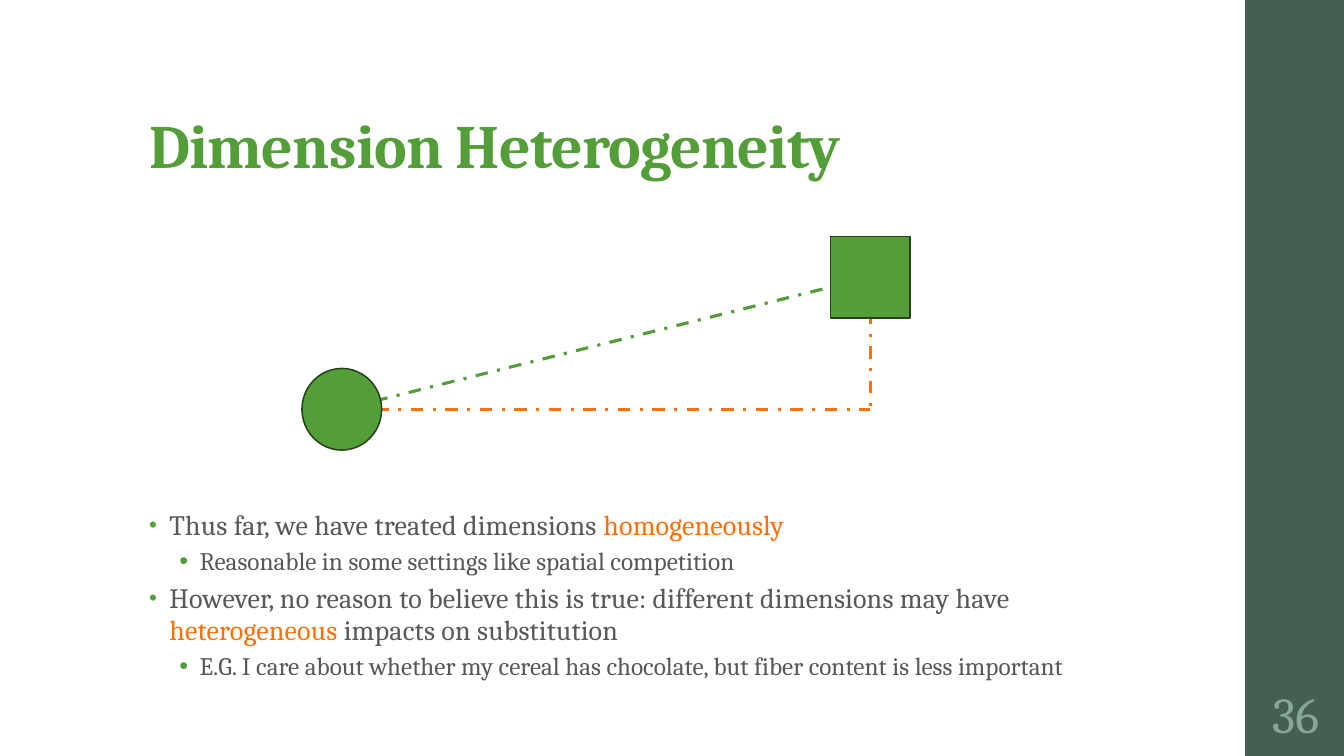
from dataclasses import dataclass

from lxml import etree
from pptx import Presentation
from pptx.dml.color import RGBColor
from pptx.enum.dml import MSO_LINE
from pptx.enum.shapes import MSO_CONNECTOR, MSO_SHAPE
from pptx.enum.text import MSO_ANCHOR, MSO_AUTO_SIZE, PP_ALIGN
from pptx.oxml.ns import qn
from pptx.util import Inches, Pt

RECT, OVAL, STRAIGHT = MSO_SHAPE.RECTANGLE, MSO_SHAPE.OVAL, MSO_CONNECTOR.STRAIGHT
DASH_DOT = MSO_LINE.DASH_DOT
TOP, MIDDLE, BOTTOM = MSO_ANCHOR.TOP, MSO_ANCHOR.MIDDLE, MSO_ANCHOR.BOTTOM
LEFT, CENTER = PP_ALIGN.LEFT, PP_ALIGN.CENTER
NO_AUTOFIT = MSO_AUTO_SIZE.NONE
TWO_CONTENT = 3


@dataclass(frozen=True)
class Theme:
    font: str = "Cambria"
    green: str = "549E39"
    outline: str = "254519"
    orange: str = "FF7009"
    grey: str = "595959"
    band: str = "455F51"
    number: str = "87A896"
    title_size: int = 44
    number_size: int = 36
    level_sizes: tuple = (20, 18)


def rgb(color):
    return RGBColor.from_string(color)


def add_text(p, text, *, font, size, color, bold=False, spacing=0):
    """Add a run to a paragraph; spacing is in points."""
    r = p.add_run()
    r.text = text
    r.font.name, r.font.size, r.font.bold = font, Pt(size), bold
    r.font.color.rgb = rgb(color)
    r.font._element.set("spc", str(round(spacing * 100)))


def add_bullet(p, level, color):
    pPr = p._p.get_or_add_pPr()
    pPr.set("marL", str(Inches((0.2, 0.5)[level])))
    pPr.set("indent", str(Inches(-0.2)))
    bu_color = etree.SubElement(pPr, qn("a:buClr"))
    etree.SubElement(bu_color, qn("a:srgbClr"), val=color)
    etree.SubElement(pPr, qn("a:buSzPct"), val=("80000", "100000")[level])
    etree.SubElement(pPr, qn("a:buFont"), typeface="Arial")
    etree.SubElement(pPr, qn("a:buChar"), char="•")


class SlideBuilder:
    def __init__(self, slide, theme):
        self.slide, self.theme = slide, theme

    def frame(self, sp, box, anchor, insets=(0.1, 0.05, 0.1, 0.05)):
        """Place a text shape and return its prepared text frame."""
        sp.left, sp.top, sp.width, sp.height = map(Inches, box)
        tf = sp.text_frame
        tf.word_wrap, tf.auto_size, tf.vertical_anchor = True, NO_AUTOFIT, anchor
        (tf.margin_left, tf.margin_top,
         tf.margin_right, tf.margin_bottom) = map(Inches, insets)
        return tf

    def title(self, text, box):
        t = self.theme
        tf = self.frame(self.slide.shapes.title, box, BOTTOM, (0.1, 0.03, 0.1, 0.05))
        p = tf.paragraphs[0]
        p.alignment, p.line_spacing = LEFT, 0.9
        add_text(p, text, font=t.font, size=t.title_size, color=t.green,
                 bold=True, spacing=-0.5)

    def bullets(self, idx, box, items):
        """Fill a body placeholder with (level, [(text, color), ...]) items."""
        t = self.theme
        tf = self.frame(self.slide.placeholders[idx], box, TOP)
        for i, (level, runs) in enumerate(items):
            p = tf.add_paragraph() if i else tf.paragraphs[0]
            p.level, p.alignment = level, LEFT
            add_bullet(p, level, t.green)
            p.line_spacing = (0.95, 0.9)[level]
            p.space_before = Pt(3 if i else 0)
            p.space_after = Pt((2, 3)[level])
            for text, color in runs:
                add_text(p, text, font=t.font, size=t.level_sizes[level],
                         color=color, spacing=(0.1, 0)[level])

    def shape(self, kind, box, fill, line=None):
        sp = self.slide.shapes.add_shape(kind, *map(Inches, box))
        sp.shadow.inherit = False
        sp.fill.solid()
        sp.fill.fore_color.rgb = rgb(fill)
        if line:
            sp.line.color.rgb = rgb(line)
            sp.line.width = Pt(1.1)
        else:
            sp.line.fill.background()

    def dashed_line(self, start, end, color):
        line = self.slide.shapes.add_connector(STRAIGHT, *map(Inches, start + end))
        line.line.color.rgb = rgb(color)
        line.line.width, line.line.dash_style = Pt(2.25), DASH_DOT
        etree.SubElement(line._element.spPr, qn("a:effectLst"))

    def page_number(self, text, box):
        t = self.theme
        sp = self.slide.shapes.add_textbox(*map(Inches, box))
        p = self.frame(sp, box, MIDDLE, (0.05,) * 4).paragraphs[0]
        p.alignment = CENTER
        add_text(p, text, font=t.font, size=t.number_size, color=t.number)


def main():
    prs = Presentation()
    prs.slide_width, prs.slide_height = Inches(13.33), Inches(7.5)
    t = Theme()
    s = SlideBuilder(prs.slides.add_slide(prs.slide_layouts[TWO_CONTENT]), t)

    s.shape(RECT, (12.35, 0, 1, 7.5), t.band)
    s.title("Dimension Heterogeneity", (1.38, 0.29, 10.6, 1.56))

    circle, square = (3.39, 4.06), (8.63, 2.75)
    corner = (square[0], circle[1])
    s.dashed_line(circle, square, t.green)
    s.dashed_line(square, corner, t.orange)
    s.dashed_line(circle, corner, t.orange)
    width, height = 0.79, 0.81
    for kind, (x, y) in ((OVAL, circle), (RECT, square)):
        s.shape(kind, (x - width / 2, y - height / 2, width, height),
                t.green, t.outline)

    s.bullets(1, (1.38, 5.01, 9.4, 1.48), [
        (0, [("Thus far, we have treated dimensions ", t.grey),
             ("homogeneously", t.orange)]),
        (1, [("Reasonable in some settings like spatial competition", t.grey)]),
    ])
    s.bullets(2, (1.38, 5.73, 9.4, 1.54), [
        (0, [("However, no reason to believe this is true: "
              "different dimensions may have ", t.grey),
             ("heterogeneous", t.orange),
             (" impacts on substitution", t.grey)]),
        (1, [("E.G. I care about whether my cereal has chocolate, "
              "but fiber content is less important", t.grey)]),
    ])
    s.page_number("36", (12.35, 6.75, 1, 0.65))
    prs.save("out.pptx")


if __name__ == "__main__":
    main()
